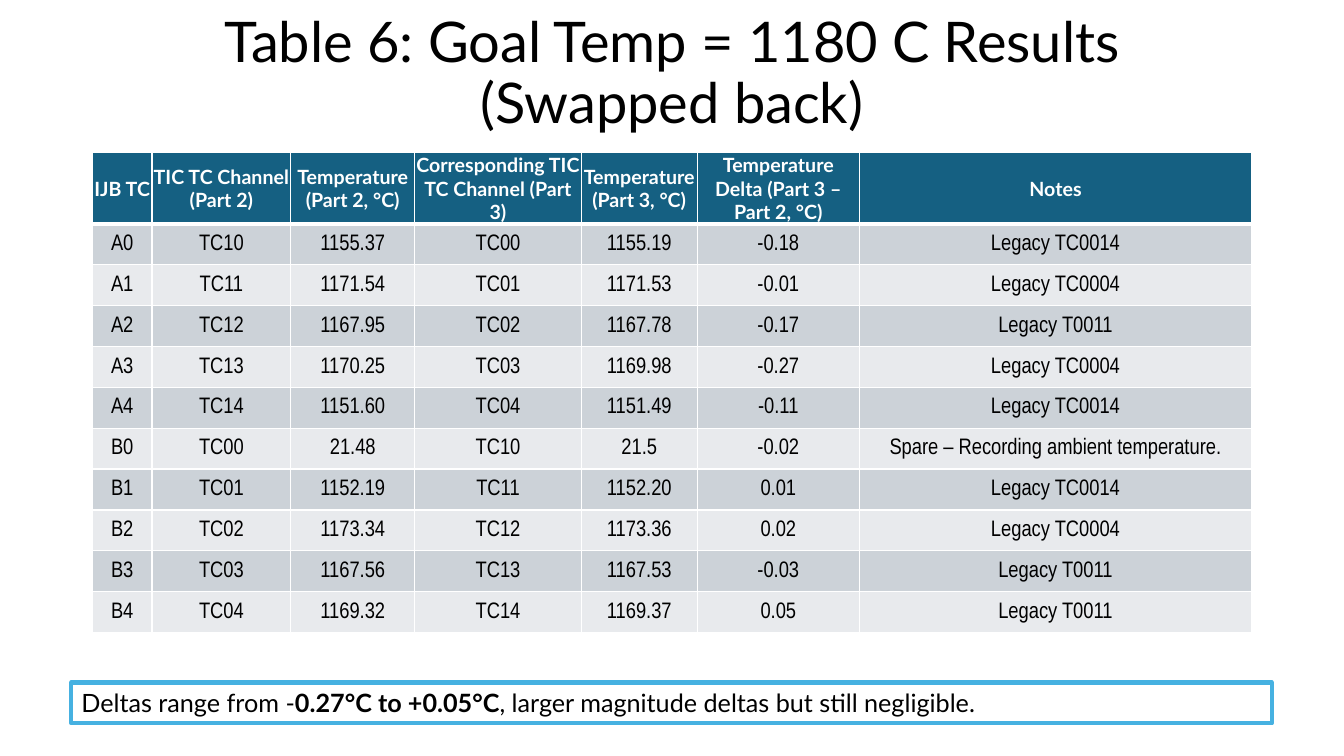
from lxml.etree import SubElement
from pptx import Presentation
from pptx.dml.color import RGBColor
from pptx.enum.shapes import MSO_SHAPE
from pptx.enum.text import MSO_ANCHOR, MSO_AUTO_SIZE, PP_ALIGN
from pptx.oxml.ns import qn
from pptx.util import Cm, Pt

HEADERS = ["IJB TC", "TIC TC Channel (Part 2)", "Temperature (Part 2, °C)",
           "Corresponding TIC TC Channel (Part 3)", "Temperature (Part 3, °C)",
           "Temperature Delta (Part 3 – Part 2, °C)", "Notes"]
RESULTS = [
    ["A0", "TC10", "1155.37", "TC00", "1155.19", "-0.18", "Legacy TC0014"],
    ["A1", "TC11", "1171.54", "TC01", "1171.53", "-0.01", "Legacy TC0004"],
    ["A2", "TC12", "1167.95", "TC02", "1167.78", "-0.17", "Legacy T0011"],
    ["A3", "TC13", "1170.25", "TC03", "1169.98", "-0.27", "Legacy TC0004"],
    ["A4", "TC14", "1151.60", "TC04", "1151.49", "-0.11", "Legacy TC0014"],
    ["B0", "TC00", "21.48", "TC10", "21.5", "-0.02", "Spare – Recording ambient temperature."],
    ["B1", "TC01", "1152.19", "TC11", "1152.20", "0.01", "Legacy TC0014"],
    ["B2", "TC02", "1173.34", "TC12", "1173.36", "0.02", "Legacy TC0004"],
    ["B3", "TC03", "1167.56", "TC13", "1167.53", "-0.03", "Legacy T0011"],
    ["B4", "TC04", "1169.32", "TC14", "1169.37", "0.05", "Legacy T0011"],
]
COLUMN_WIDTHS = [1.5, 3.5, 3.12, 4.2, 2.92, 4.09, 9.88]
ROW_HEIGHT = 1.03
HEADER_FILL, BANDS = "156082", ["CCD2D8", "E8EAED"]


def rgb(color):
    return RGBColor.from_string(color)


def add_run(p, text, size, color="000000", font="Lato", bold=False):
    r = p.add_run()
    r.text = text
    for name, value in {"size": Pt(size), "name": font, "bold": bold}.items():
        setattr(r.font, name, value)
    r.font.color.rgb = rgb(color)


prs = Presentation()
prs.slide_width, prs.slide_height = Cm(33.87), Cm(19.05)
s = prs.slides.add_slide(prs.slide_layouts[6])

# Title
title = s.shapes.add_textbox(Cm(2.33), Cm(0.05), Cm(29.21), Cm(3.68))
tf = title.text_frame
tf.word_wrap = True
tf.vertical_anchor = MSO_ANCHOR.MIDDLE
p = tf.paragraphs[0]
p.alignment = PP_ALIGN.CENTER
p.line_spacing = 0.9
add_run(p, "Table 6: Goal Temp = 1180 C Results (Swapped back)", 40)

# Results table
rows = [HEADERS] + RESULTS
table = s.shapes.add_table(len(rows), len(HEADERS), Cm(2.33), Cm(3.84),
                           Cm(sum(COLUMN_WIDTHS)), Cm(ROW_HEIGHT * len(rows))).table
for column, width in zip(table.columns, COLUMN_WIDTHS):
    column.width = Cm(width)

cell_format = {"margin_left": Cm(0.02), "margin_right": Cm(0.02), "margin_top": Cm(0.02),
               "margin_bottom": 0, "vertical_anchor": MSO_ANCHOR.MIDDLE}
for i, row in enumerate(rows):
    for j, text in enumerate(row):
        cell = table.cell(i, j)
        for name, value in cell_format.items():
            setattr(cell, name, value)
        p = cell.text_frame.paragraphs[0]
        p.alignment = PP_ALIGN.CENTER
        if i == 0:
            add_run(p, text, 14, "FFFFFF", bold=True)
        else:
            add_run(p, text, 16, font="Arial Narrow")
        # The line under the header is three times as thick as the others
        for side in "LRTB":
            thick = (i, side) in [(0, "B"), (1, "T")]
            ln = SubElement(cell._tc.get_or_add_tcPr(), qn(f"a:ln{side}"),
                            w=str(Pt(3 if thick else 1)))
            SubElement(SubElement(ln, qn("a:solidFill")), qn("a:srgbClr"), val="FFFFFF")
        cell.fill.solid()
        cell.fill.fore_color.rgb = rgb(BANDS[(i - 1) % 2] if i else HEADER_FILL)

# Conclusion box
box = s.shapes.add_shape(MSO_SHAPE.RECTANGLE, Cm(1.8), Cm(17.2), Cm(30.25), Cm(1.03))
box.shadow.inherit = False
box.fill.background()
box.line.color.rgb = rgb("46B1E1")
box.line.width = Pt(3)
tf = box.text_frame
tf.word_wrap = True
tf.auto_size = MSO_AUTO_SIZE.SHAPE_TO_FIT_TEXT
tf.vertical_anchor = MSO_ANCHOR.TOP
p = tf.paragraphs[0]
p.alignment = PP_ALIGN.LEFT
add_run(p, "Deltas range from -", 18)
add_run(p, "0.27°C to +0.05°C", 18, bold=True)
add_run(p, ", larger magnitude deltas but still negligible.", 18)

prs.save("out.pptx")
